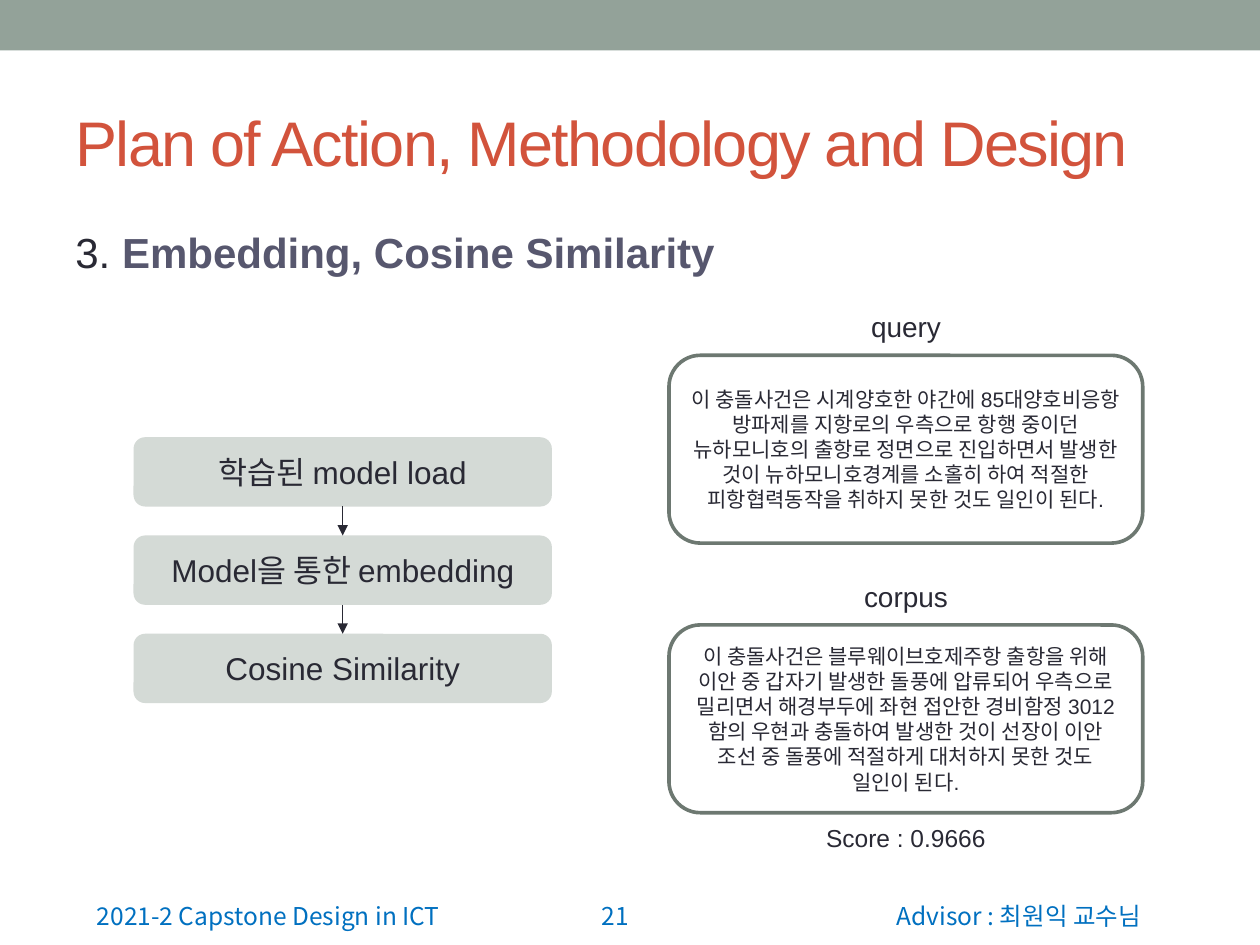
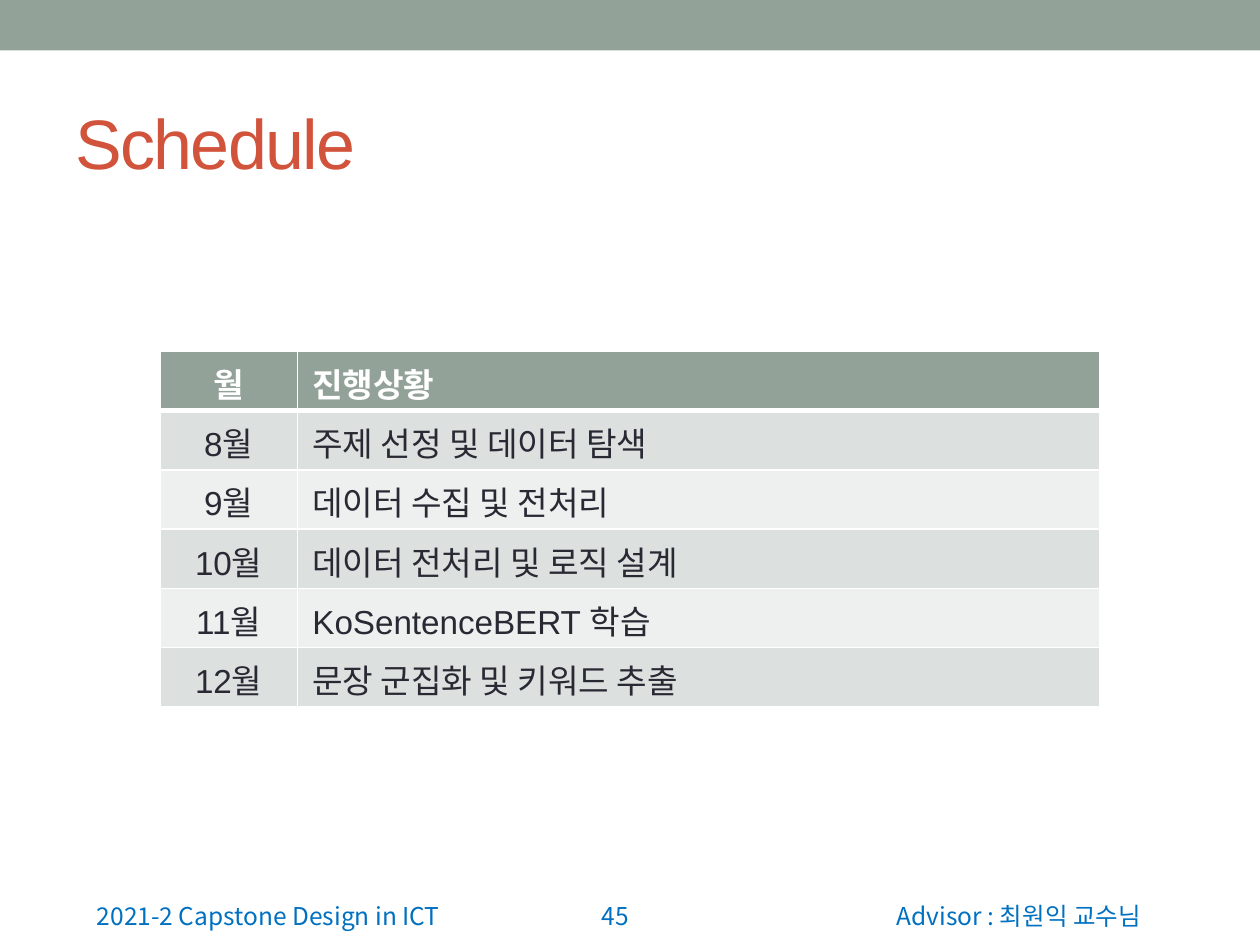
import pptx
import pptx.util
import pptx.dml.color
import pptx.enum.shapes
import pptx.enum.text
import pptx.oxml
import pptx.oxml.ns
from lxml import etree

RGB = pptx.dml.color.RGBColor
SHAPE = pptx.enum.shapes.MSO_SHAPE
ALIGN = pptx.enum.text.PP_ALIGN
ANCHOR = pptx.enum.text.MSO_ANCHOR
qn = pptx.oxml.ns.qn

SAGE = RGB(0x93, 0xA2, 0x99)
SAGE_LIGHT = RGB(0xD4, 0xDA, 0xD6)
SAGE_DARK = RGB(0x6D, 0x78, 0x71)
ROW_FILLS = [RGB(0xDC, 0xE0, 0xDE), RGB(0xEE, 0xF0, 0xEF)]
RED = RGB(0xD2, 0x53, 0x3C)
INK = RGB(0x29, 0x29, 0x34)
PURPLE = RGB(0x57, 0x57, 0x6E)
BLUE = RGB(0x00, 0x70, 0xC0)
WHITE = RGB(0xFF, 0xFF, 0xFF)
LATIN, KOREAN = "Arial", "Noto Sans CJK KR"

COURSE = "2021-2 Capstone Design in ICT"
ADVISOR = "Advisor : 최원익 교수님"

METHOD = dict(title="Plan of Action, Methodology and Design", size=36, number="21")
HEADING = [("3. ", INK, False), ("Embedding, Cosine Similarity", PURPLE, True)]
STEPS = ["학습된 model load", "Model을 통한 embedding", "Cosine Similarity"]
PASSAGES = [
    ("query", "이 충돌사건은 시계양호한 야간에 85대양호비응항 방파제를 지항로의 우측으로 "
              "항행 중이던 뉴하모니호의 출항로 정면으로 진입하면서 발생한 것이 "
              "뉴하모니호경계를 소홀히 하여 적절한 피항협력동작을 취하지 못한 것도 "
              "일인이 된다."),
    ("corpus", "이 충돌사건은 블루웨이브호제주항 출항을 위해 이안 중 갑자기 발생한 돌풍에 "
               "압류되어 우측으로 밀리면서 해경부두에 좌현 접안한 경비함정 3012함의 "
               "우현과 충돌하여 발생한 것이 선장이 이안 조선 중 돌풍에 적절하게 "
               "대처하지 못한 것도 일인이 된다."),
]
SCORE = "Score : 0.9666"

SCHEDULE = dict(title="Schedule", size=40, number="45")
MONTHS = [
    ("월", "진행상황"),
    ("8월", "주제 선정 및 데이터 탐색"),
    ("9월", "데이터 수집 및 전처리"),
    ("10월", "데이터 전처리 및 로직 설계"),
    ("11월", "KoSentenceBERT 학습"),
    ("12월", "문장 군집화 및 키워드 추출"),
]


def px(n):
    """100 px make one inch."""
    return pptx.util.Emu(n * 9144)


def box(x, y, w, h):
    return px(x), px(y), px(w), px(h)


def write(p, text, size=18, color=INK, bold=False, font=LATIN, align=None, spacing=None):
    """Add one formatted run to a paragraph."""
    if align is not None:
        p.alignment = align
    r = p.add_run()
    r.text = text
    r.font.size = pptx.util.Pt(size)
    r.font.bold = bold
    r.font.color.rgb = color
    r.font.name = font
    rPr = r.font._element
    etree.SubElement(rPr, qn("a:ea")).set("typeface", KOREAN)
    if spacing is not None:
        rPr.set("spc", str(spacing * 100))


def add_text(s, bounds, text, anchor=ANCHOR.TOP, **fmt):
    tf = s.shapes.add_textbox(*box(*bounds)).text_frame
    tf.word_wrap = True
    tf.vertical_anchor = anchor
    write(tf.paragraphs[0], text, **fmt)
    return tf


def add_block(s, kind, bounds, fill=None, line=None, text=None, **fmt):
    sp = s.shapes.add_shape(kind, *box(*bounds))
    sp.shadow.inherit = False
    if fill is None:
        sp.fill.background()
    else:
        sp.fill.solid()
        sp.fill.fore_color.rgb = fill
    if line is None:
        sp.line.fill.background()
    else:
        sp.line.color.rgb = line
        sp.line.width = pptx.util.Pt(2.08)
    if text:
        tf = sp.text_frame
        tf.word_wrap = True
        tf.vertical_anchor = ANCHOR.MIDDLE
        write(tf.paragraphs[0], text, align=ALIGN.CENTER, **fmt)
    return sp


def add_arrow(s, above, below):
    c = s.shapes.add_connector(pptx.enum.shapes.MSO_CONNECTOR.STRAIGHT, 0, 0, 0, 0)
    c.begin_connect(above, 2)
    c.end_connect(below, 0)
    c.line.color.rgb = INK
    c.line.width = pptx.util.Pt(0.75)
    etree.SubElement(c.line._get_or_add_ln(), qn("a:tailEnd")).set("type", "triangle")
    etree.SubElement(c._element.spPr, qn("a:effectLst"))


def set_borders(cell, widths):
    """Draw white cell borders; widths are points for left, right, top, bottom."""
    tcPr = cell._tc.get_or_add_tcPr()
    for i, (side, width) in enumerate(zip("LRTB", widths)):
        ln = etree.Element(qn("a:ln" + side), w=str(pptx.util.Pt(width)))
        fill = etree.SubElement(ln, qn("a:solidFill"))
        etree.SubElement(fill, qn("a:srgbClr")).set("val", str(WHITE))
        tcPr.insert(i, ln)


def new_slide(prs, title, size, number):
    """Add a slide with the shared band, title and footers."""
    s = prs.slides.add_slide(prs.slide_layouts[5])
    add_block(s, SHAPE.RECTANGLE, (0, 0, 1000, 40), fill=SAGE)
    sp = s.shapes.title
    sp.left, sp.top, sp.width, sp.height = box(50, 58, 900, 108)
    tf = sp.text_frame
    tf.auto_size = pptx.enum.text.MSO_AUTO_SIZE.NONE
    tf.vertical_anchor = ANCHOR.MIDDLE
    write(tf.paragraphs[0], title, size=size, color=RED, align=ALIGN.LEFT, spacing=-1)
    for x, w, text, align in [(67, 317, COURSE, ALIGN.LEFT),
                              (413, 96, number, ALIGN.RIGHT),
                              (650, 317, ADVISOR, ALIGN.CENTER)]:
        add_text(s, (x, 693, w, 50), text, anchor=ANCHOR.BOTTOM, size=14,
                 color=BLUE, font=KOREAN, align=align)
    return s


def build_method(prs):
    s = new_slide(prs, **METHOD)
    (number, color, bold), (topic, topic_color, topic_bold) = HEADING
    tf = add_text(s, (50, 175, 922, 90), number, size=24, color=color, bold=bold)
    p = tf.paragraphs[0]
    p.space_before = pptx.util.Pt(2)
    write(p, topic, size=24, color=topic_color, bold=topic_bold)

    steps = [add_block(s, SHAPE.ROUNDED_RECTANGLE, (106, 347 + 78 * i, 332, 55),
                       fill=SAGE_LIGHT, text=step)
             for i, step in enumerate(STEPS)]
    for above, below in zip(steps, steps[1:]):
        add_arrow(s, above, below)

    for i, (label, passage) in enumerate(PASSAGES):
        top = 282 + 214 * i
        add_text(s, (605, top - 41, 228, 37), label, size=16, align=ALIGN.CENTER)
        add_block(s, SHAPE.ROUNDED_RECTANGLE, (531, top, 376, 149),
                  line=SAGE_DARK, text=passage, size=12)
    add_text(s, (605, 648, 228, 34), SCORE, size=14, align=ALIGN.CENTER)


def build_schedule(prs):
    s = new_slide(prs, **SCHEDULE)
    widths, row_height = (109, 637), 47
    table = s.shapes.add_table(len(MONTHS), len(widths), *box(
        127, 279, sum(widths), row_height * len(MONTHS))).table
    for column, width in zip(table.columns, widths):
        column.width = px(width)
    for i, row in enumerate(MONTHS):
        header = i == 0
        for j, text in enumerate(row):
            cell = table.cell(i, j)
            cell.margin_left = cell.margin_right = px(12)
            cell.margin_top = cell.margin_bottom = px(6)
            cell.fill.solid()
            cell.fill.fore_color.rgb = SAGE if header else ROW_FILLS[(i - 1) % 2]
            set_borders(cell, (1, 1, 3 if i == 1 else 1, 3 if header else 1))
            write(cell.text_frame.paragraphs[0], text, size=19, bold=header,
                  color=WHITE if header else INK,
                  align=ALIGN.CENTER if j == 0 else ALIGN.LEFT)


def main():
    prs = pptx.Presentation()
    prs.slide_width, prs.slide_height = px(1000), px(750)
    build_method(prs)
    build_schedule(prs)
    prs.save("out.pptx")


if __name__ == "__main__":
    main()
